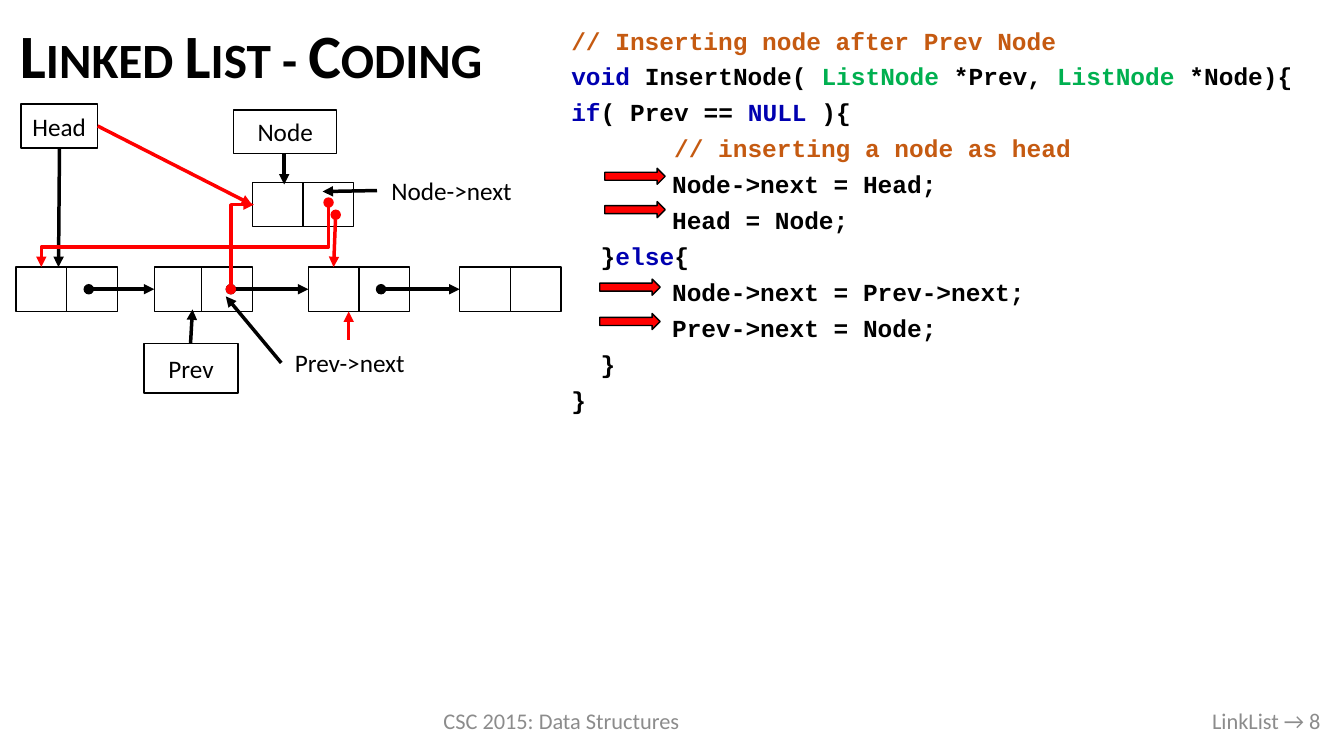
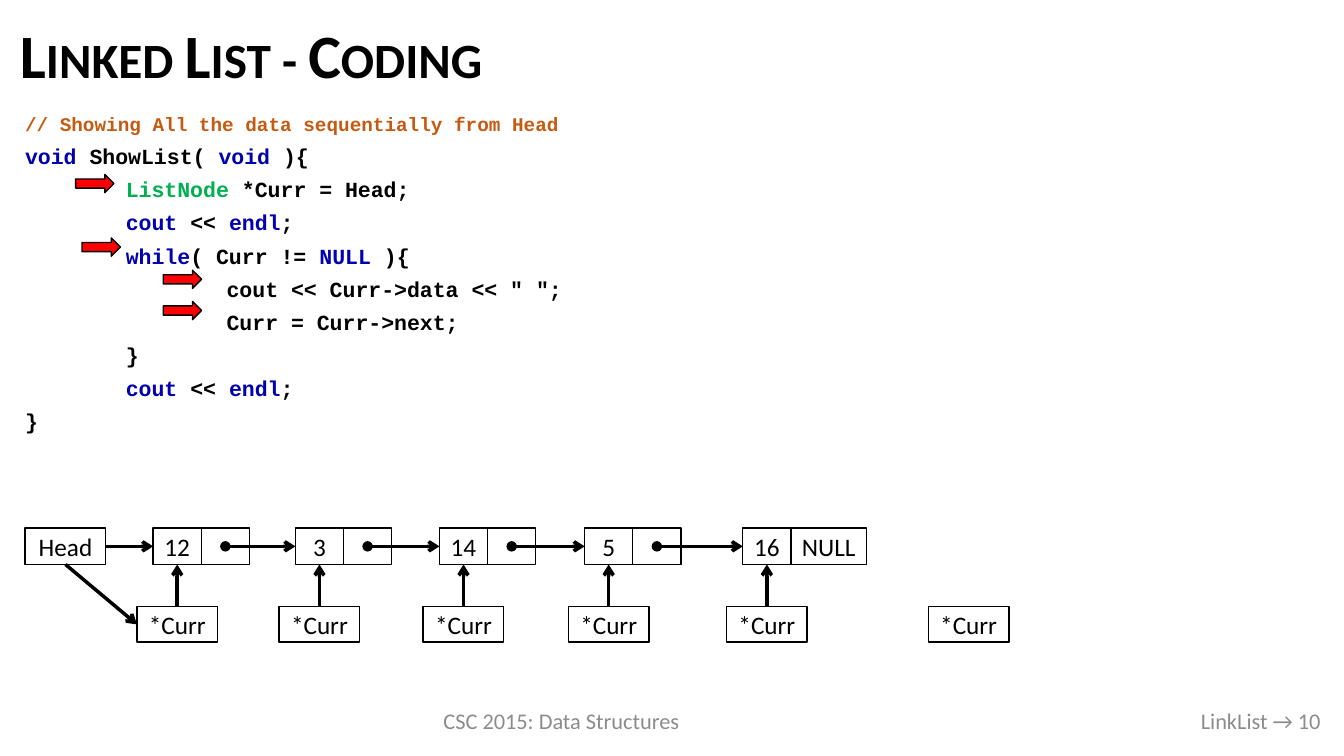
from lxml import etree
from pptx import Presentation
from pptx.dml.color import RGBColor
from pptx.enum.shapes import MSO_CONNECTOR, MSO_SHAPE
from pptx.enum.text import MSO_ANCHOR, PP_ALIGN
from pptx.oxml.ns import qn
from pptx.util import Pt

# Shared look
BLACK, WHITE, RED, GREY = "000000", "FFFFFF", "FF0000", "8C8C8C"
COMMENT, KEYWORD, TYPE = "C55A11", "0000B0", "00B050"
TITLE = "Linked List - Coding"
COURSE = "CSC 2015: Data Structures"
TITLE_FONT = {"name": "Calibri", "size": Pt(44), "bold": True}
FOOTER_FONT = {"name": "Calibri", "size": Pt(16)}
LABEL_FONT = {"name": "Calibri", "size": Pt(18)}
TAB = 72
CODE_GAP = 8.9

# Code: (tab level, [(text, colour), ...]) for each line
INSERT_CODE = [
    (0, [("// Inserting node after Prev Node", COMMENT)]),
    (0, [("void ", KEYWORD), ("InsertNode( ", BLACK), ("ListNode", TYPE),
         (" *Prev, ", BLACK), ("ListNode", TYPE), (" *Node){", BLACK)]),
    (0, [("if", KEYWORD), ("( Prev == ", BLACK), ("NULL", KEYWORD), (" ){", BLACK)]),
    (0, [("       // inserting a node as head", COMMENT)]),
    (1, [("Node->next = Head;", BLACK)]),
    (1, [("Head = Node;", BLACK)]),
    (0, [("  }", BLACK), ("else", KEYWORD), ("{", BLACK)]),
    (1, [("Node->next = Prev->next;", BLACK)]),
    (1, [("Prev->next = Node;", BLACK)]),
    (0, [("  }", BLACK)]),
    (0, [("}", BLACK)]),
]
PRINT_ENDL = (1, [("cout", KEYWORD), (" << ", BLACK), ("endl", KEYWORD), (";", BLACK)])
SHOW_CODE = [
    (0, [("// Showing All the data sequentially from Head", COMMENT)]),
    (0, [("void", KEYWORD), (" ShowList( ", BLACK), ("void", KEYWORD), (" ){", BLACK)]),
    (1, [("ListNode ", TYPE), ("*Curr = Head;", BLACK)]),
    PRINT_ENDL,
    (1, [("while", KEYWORD), ("( Curr != ", BLACK), ("NULL", KEYWORD), (" ){", BLACK)]),
    (2, [('cout << Curr->data << " ";', BLACK)]),
    (2, [("Curr = Curr->next;", BLACK)]),
    (1, [("}", BLACK)]),
    PRINT_ENDL,
    (0, [("}", BLACK)]),
]

# Insert diagram: nodes are (left, top, step to second cell)
CELL, CELL_HEIGHT = 36.2, 31.7
LIST_TOP = 190.8
INSERT_NODES = [(11.5, LIST_TOP, CELL), (110.2, LIST_TOP, 33.8),
                (220.3, LIST_TOP, CELL), (328.3, LIST_TOP, CELL),
                (180.2, 130.3, CELL)]
INSERT_LABELS = [  # text, (left, top, width, height), outlined
    ("Head", (15.1, 74.2, 54.4, 31.7), True),
    ("Prev", (103, 245.5, 67, 35.3), True),
    ("Node", (167, 78.5, 73.4, 31), True),
    ("Node->next", (269.3, 119.5, 106.6, 33.1), False),
    ("Prev->next", (200.9, 242.6, 97.9, 33.1), False),
]
INSERT_ARROWS = [  # start, end, colour, start mark, end mark
    ((42.5, 105.8), (41.8, 190.8), BLACK, None, "triangle"),
    ((63.4, 206.6), (110.2, 206.6), BLACK, "oval", "triangle"),
    ((164.9, 206.6), (220.3, 206.6), BLACK, "oval", "triangle"),
    ((272.2, 206.6), (328.3, 206.6), BLACK, "oval", "triangle"),
    ((203, 109.4), (203, 131.8), BLACK, None, "triangle"),
    ((136.1, 245.5), (137.5, 221), BLACK, None, "triangle"),
    ((239.8, 153.4), (238.3, 190.8), RED, "oval", "triangle"),
    ((269.3, 136.1), (230.4, 136.8), BLACK, None, "triangle"),
    ((200.9, 259.2), (161.3, 211.7), BLACK, None, "triangle"),
    ((249.1, 242.6), (249.1, 222.5), RED, None, "triangle"),
    ((234.7, 162), (234.7, 144.7), RED, None, "oval"),
    ((69.8, 90), (180, 146.2), RED, None, "triangle"),
]
INSERT_ELBOWS = [  # start, end, start mark, preset
    ((164.9, 206.6), (181.4, 146.2), "oval", "bentConnector2"),
    ((234.7, 162), (29.5, 190.8), None, "bentConnector3"),
]
INSERT_MARKERS = [(432, 120.2), (432, 144), (428.4, 199.4), (428.4, 223.9)]

# Show diagram: (left, value, second cell text, second cell width)
SHOW_CELL, SHOW_HEIGHT, SHOW_TOP = 34.4, 25.9, 377.3
CURR_TOP, CURR_WIDTH, CURR_HEIGHT = 433.4, 57.6, 25.2
SHOW_NODES = [(109.4, "12", "", SHOW_CELL), (211, "3", "", SHOW_CELL),
              (313.9, "14", "", SHOW_CELL), (417.6, "5", "", SHOW_CELL),
              (530.6, "16", "NULL", 54)]
HEAD_LEFT, LAST_CURR_LEFT = 18, 663.1
SHOW_MARKERS = [(54, 124.6), (58.6, 170), (116.6, 193), (116.6, 215.3)]


def colour(value):
    return RGBColor.from_string(value)


def points(*values):
    return [Pt(value) for value in values]


def add_span(para, text, font, text_colour):
    span = para.add_run()
    span.text = text
    for name, value in font.items():
        setattr(span.font, name, value)
    span.font.color.rgb = colour(text_colour)
    return span


def add_line_of_text(page, place, text, font, text_colour, align):
    box = page.shapes.add_textbox(*points(*place))
    box.text_frame.word_wrap = True
    box.text_frame.vertical_anchor = MSO_ANCHOR.MIDDLE
    para = box.text_frame.paragraphs[0]
    para.alignment = align
    return para, add_span(para, text, font, text_colour)


def add_page(deck, number):
    page = deck.slides.add_slide(deck.slide_layouts[6])
    para, span = add_line_of_text(page, (7.2, 7.9, 943.2, 68.4), TITLE,
                                  TITLE_FONT, BLACK, PP_ALIGN.LEFT)
    para.line_spacing = 0.9
    span.font._element.set("cap", "small")
    add_line_of_text(page, (280.1, 500.4, 241.9, 28.8), COURSE,
                     FOOTER_FONT, GREY, PP_ALIGN.CENTER)
    add_line_of_text(page, (555.1, 500.4, 395.3, 28.8), f"LinkList → {number}",
                     FOOTER_FONT, GREY, PP_ALIGN.RIGHT)
    return page


def add_code(page, place, lines, size, first_size):
    box = page.shapes.add_textbox(*points(*place))
    frame = box.text_frame
    frame.word_wrap = True
    for index, (level, spans) in enumerate(lines):
        para = frame.add_paragraph() if index else frame.paragraphs[0]
        layout = {"alignment": PP_ALIGN.JUSTIFY, "line_spacing": 0.8,
                  "space_after": Pt(CODE_GAP)}
        for name, value in layout.items():
            setattr(para, name, value)
        para._p.get_or_add_pPr().set("marL", str(Pt(level * TAB)))
        font = {"name": "Courier New", "bold": True,
                "size": Pt(size if index else first_size)}
        for text, text_colour in spans:
            add_span(para, text, font, text_colour)


def add_box(page, place, text="", fill=WHITE, outlined=True, preset=MSO_SHAPE.RECTANGLE):
    box = page.shapes.add_shape(preset, *points(*place))
    box.shadow.inherit = False
    box.fill.solid()
    box.fill.fore_color.rgb = colour(fill)
    if outlined:
        box.line.color.rgb = colour(BLACK)
        box.line.width = Pt(1)
    else:
        box.line.fill.background()
    if text:
        frame = box.text_frame
        frame.word_wrap = False
        frame.vertical_anchor = MSO_ANCHOR.MIDDLE
        frame.paragraphs[0].alignment = PP_ALIGN.CENTER
        add_span(frame.paragraphs[0], text, LABEL_FONT, BLACK)


def add_markers(page, corners, width, height):
    for left, top in corners:
        add_box(page, (left, top, width, height), fill=RED, preset=MSO_SHAPE.RIGHT_ARROW)


def add_arrow(page, start, end, line_colour=BLACK, start_mark=None, end_mark="arrow",
              kind=MSO_CONNECTOR.STRAIGHT):
    arrow = page.shapes.add_connector(kind, *points(*start, *end))
    arrow.line.color.rgb = colour(line_colour)
    arrow.line.width = Pt(2.5)
    outline = arrow.line._get_or_add_ln()
    for tag, mark in (("a:headEnd", start_mark), ("a:tailEnd", end_mark)):
        if mark:
            etree.SubElement(outline, qn(tag)).set("type", mark)
    etree.SubElement(arrow._element.spPr, qn("a:effectLst"))
    return arrow


def add_elbow(page, start, end, start_mark, preset):
    # A bend that leaves vertically is a horizontal one turned by 90 degrees
    middle_x, middle_y = (start[0] + end[0]) / 2, (start[1] + end[1]) / 2
    turned = [(middle_x + y - middle_y, middle_y - x + middle_x) for x, y in (start, end)]
    elbow = add_arrow(page, *turned, RED, start_mark, "triangle", MSO_CONNECTOR.ELBOW)
    properties = elbow._element.spPr
    properties.find(qn("a:xfrm")).set("rot", "5400000")
    properties.find(qn("a:prstGeom")).set("prst", preset)


def build_insert_page(deck):
    page = add_page(deck, 8)
    add_code(page, (401, 18.8, 547.9, 290.2), INSERT_CODE, 17.5, 17.5)
    for left, top, step in INSERT_NODES:
        for cell_left in (left, left + step):
            add_box(page, (cell_left, top, CELL, CELL_HEIGHT))
    for text, place, outlined in INSERT_LABELS:
        add_box(page, place, text, outlined=outlined)
    for arrow in INSERT_ARROWS:
        add_arrow(page, *arrow)
    for elbow in INSERT_ELBOWS:
        add_elbow(page, *elbow)
    add_markers(page, INSERT_MARKERS, 43.2, 11.5)


def build_show_page(deck):
    page = add_page(deck, 10)
    add_code(page, (10.8, 80, 938.9, 234), SHOW_CODE, 15.4, 13.8)
    middle, bottom = SHOW_TOP + SHOW_HEIGHT / 2, SHOW_TOP + SHOW_HEIGHT
    add_box(page, (HEAD_LEFT, SHOW_TOP, CURR_WIDTH, SHOW_HEIGHT), "Head")

    # Nodes, each with its *Curr box below
    for left, value, link, link_width in SHOW_NODES:
        centre = left + SHOW_CELL / 2
        curr_left = centre - CURR_WIDTH / 2
        add_box(page, (left, SHOW_TOP, SHOW_CELL, SHOW_HEIGHT), value)
        add_box(page, (left + SHOW_CELL, SHOW_TOP, link_width, SHOW_HEIGHT), link)
        add_box(page, (curr_left, CURR_TOP, CURR_WIDTH, CURR_HEIGHT), "*Curr")
        add_arrow(page, (centre, CURR_TOP), (centre, bottom))
    add_box(page, (LAST_CURR_LEFT, CURR_TOP, CURR_WIDTH, CURR_HEIGHT), "*Curr")

    # Links between nodes, and from Head
    lefts = [node[0] for node in SHOW_NODES]
    for left, following in zip(lefts, lefts[1:]):
        add_arrow(page, (left + 1.5 * SHOW_CELL, middle), (following, middle),
                  start_mark="oval")
    add_arrow(page, (HEAD_LEFT + CURR_WIDTH, middle), (lefts[0], middle))
    first_curr = lefts[0] + SHOW_CELL / 2 - CURR_WIDTH / 2
    add_arrow(page, (HEAD_LEFT + CURR_WIDTH / 2, bottom),
              (first_curr, CURR_TOP + CURR_HEIGHT / 2))
    add_markers(page, SHOW_MARKERS, 27.4, 13)


def main():
    deck = Presentation()
    deck.slide_width, deck.slide_height = points(960, 540)
    build_insert_page(deck)
    build_show_page(deck)
    deck.save("out.pptx")


if __name__ == "__main__":
    main()
